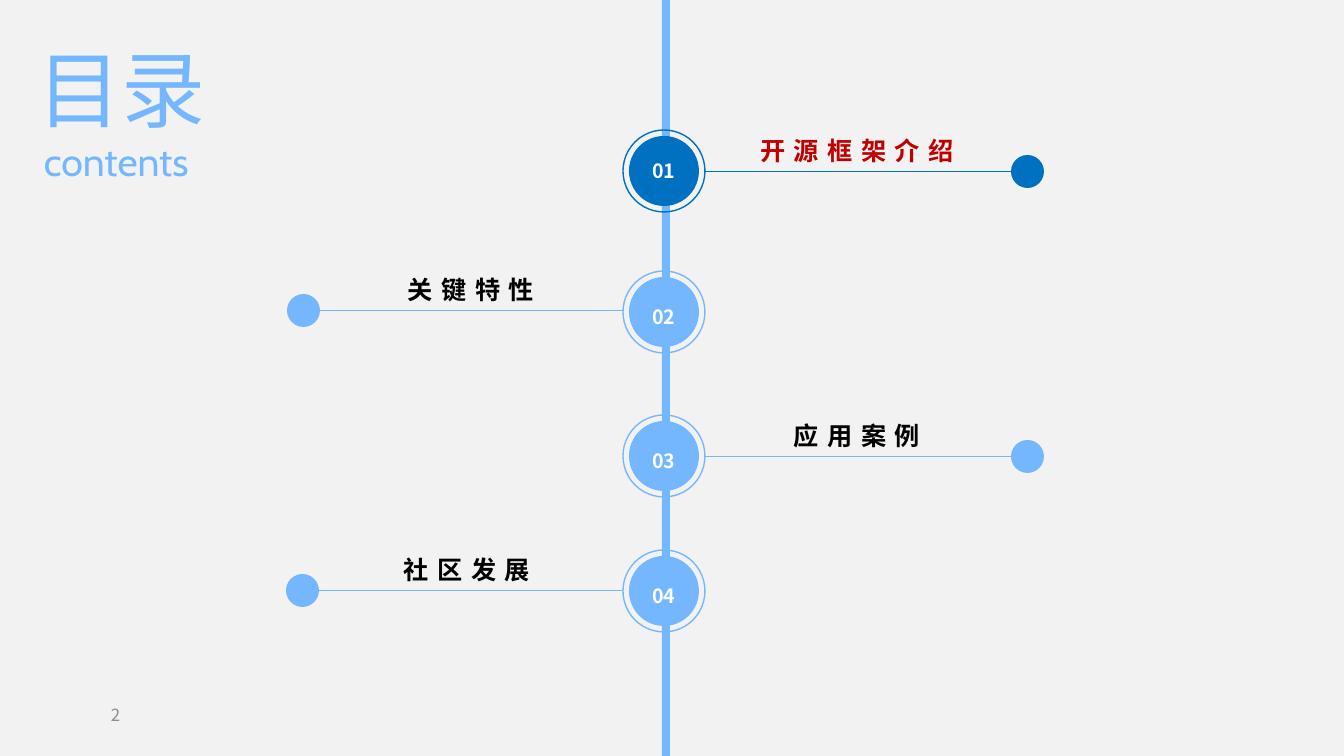
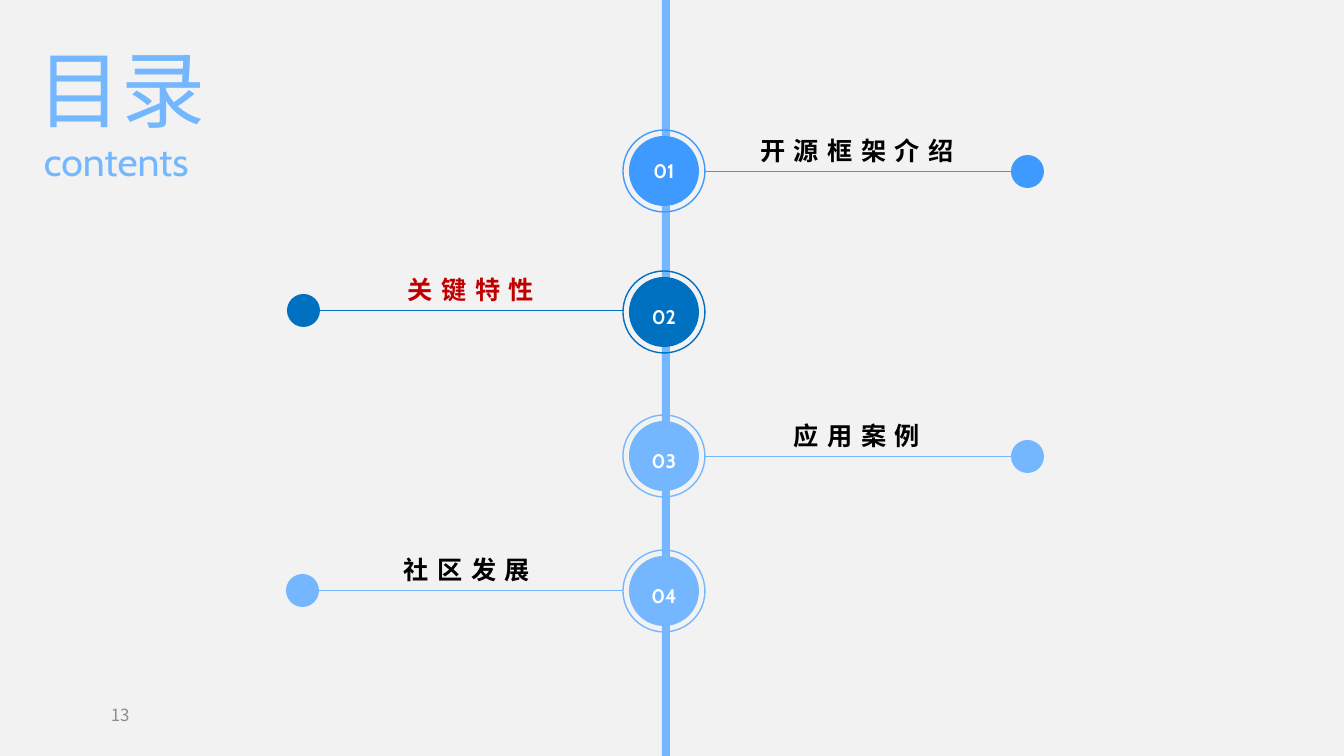
import dataclasses
import typing

import lxml.etree
import pptx
import pptx.dml.color
import pptx.enum.shapes
import pptx.enum.text
import pptx.oxml.ns
import pptx.util

SHAPES = pptx.enum.shapes.MSO_SHAPE
ALIGN = pptx.enum.text.PP_ALIGN
ANCHOR = pptx.enum.text.MSO_ANCHOR

EMU_PER_PX = 12192000 / 1344
PAGE_WIDTH, PAGE_HEIGHT = 1344, 756
SPINE_LEFT, SPINE_WIDTH = 662, 8
HUB_X = 664
DISC_SIZE, RING_SIZE, DOT_SIZE = 70, 82, 33
LABEL_WIDTH, LABEL_HEIGHT = 252, 41


@dataclasses.dataclass(frozen=True)
class Theme:
    background: str = "F2F2F2"
    main: str = "75B7FF"
    visited: str = "3F9AFF"
    current: str = "0070C0"
    label: str = "000000"
    current_label: str = "C00000"
    on_disc: str = "FFFFFF"
    page_number: str = "8C8C8C"
    title_size: int = 60
    subtitle_size: int = 28
    label_size: int = 18
    disc_size: int = 14
    page_number_size: int = 12
    label_tracking: int = 6
    ring_width: float = 1
    spoke_width: float = 0.5
    latin_font: str = "Cabin"
    chinese_font: str = "Noto Sans CJK SC"


THEME = Theme()


class Box(typing.NamedTuple):
    left: int
    top: int
    width: int
    height: int


@dataclasses.dataclass(frozen=True)
class Section:
    label: str
    hub_y: int
    spoke_y: int
    dot_x: int
    label_x: int
    line_spacing: float = 1.4


@dataclasses.dataclass(frozen=True)
class Agenda:
    current: int
    page_number: int
    font: str


SECTIONS = (
    Section("开源框架介绍", 171, 171, 1027, 857, line_spacing=1),
    Section("关键特性", 312, 310, 303, 471),
    Section("应用案例", 456, 456, 1027, 857),
    Section("社区发展", 591, 590, 302, 467),
)

AGENDAS = (
    Agenda(current=1, page_number=2, font=THEME.chinese_font),
    Agenda(current=2, page_number=13, font=THEME.latin_font),
)


def px(length: float) -> pptx.util.Emu:
    return pptx.util.Emu(round(length * EMU_PER_PX))


def rgb(color: str) -> pptx.dml.color.RGBColor:
    return pptx.dml.color.RGBColor.from_string(color)


def place(shape, box: Box) -> None:
    shape.left, shape.top, shape.width, shape.height = map(px, box)


def write(shape, text: str, font: str, size: int, color: str, *,
          bold: bool = False, align=ALIGN.LEFT, anchor=ANCHOR.TOP,
          spacing: float = 1, tracking: int = 0) -> None:
    """Put one formatted paragraph into a shape."""
    frame = shape.text_frame
    frame.text = text
    frame.word_wrap = True
    frame.auto_size = pptx.enum.text.MSO_AUTO_SIZE.NONE
    frame.vertical_anchor = anchor
    para = frame.paragraphs[0]
    para.alignment = align
    para.line_spacing = spacing
    span = para.runs[0]
    span.font.name = font
    span.font.size = pptx.util.Pt(size)
    span.font.bold = bold
    span.font.color.rgb = rgb(color)
    properties = span.font._element
    east_asian = lxml.etree.SubElement(properties, pptx.oxml.ns.qn("a:ea"))
    east_asian.set("typeface", THEME.chinese_font)
    if tracking:
        properties.set("spc", str(tracking * 100))


def add_text(page, box: Box, text: str, font: str, size: int, color: str,
             **options) -> None:
    shape = page.shapes.add_textbox(*map(px, box))
    write(shape, text, font, size, color, **options)


def add_filled(page, kind, box: Box, color: str):
    shape = page.shapes.add_shape(kind, *map(px, box))
    shape.shadow.inherit = False
    shape.fill.solid()
    shape.fill.fore_color.rgb = rgb(color)
    shape.line.fill.background()
    return shape


def circle_box(x: int, y: int, size: int) -> Box:
    return Box(x - size // 2, y - size // 2, size, size)


def add_ring(page, box: Box, color: str) -> None:
    ring = page.shapes.add_shape(SHAPES.OVAL, *map(px, box))
    ring.shadow.inherit = False
    ring.fill.background()
    ring.line.color.rgb = rgb(color)
    ring.line.width = pptx.util.Pt(THEME.ring_width)


def add_spoke(page, section: Section, color: str) -> None:
    """Join the hub's ring to the outer dot."""
    side = 1 if section.dot_x > HUB_X else -1
    start = HUB_X + side * RING_SIZE // 2
    end = section.dot_x - side * DOT_SIZE // 2
    spoke = page.shapes.add_connector(
        pptx.enum.shapes.MSO_CONNECTOR.STRAIGHT,
        px(start), px(section.spoke_y), px(end), px(section.spoke_y))
    spoke.line.color.rgb = rgb(color)
    spoke.line.width = pptx.util.Pt(THEME.spoke_width)
    lxml.etree.SubElement(spoke._element.spPr, pptx.oxml.ns.qn("a:effectLst"))


def add_section(page, number: int, section: Section, agenda: Agenda) -> None:
    is_current = number == agenda.current
    if is_current:
        color = THEME.current
    else:
        color = THEME.visited if number < agenda.current else THEME.main

    disc = add_filled(page, SHAPES.OVAL,
                      circle_box(HUB_X, section.hub_y, DISC_SIZE), color)
    write(disc, f"{number:02}", agenda.font, THEME.disc_size, THEME.on_disc,
          bold=True, align=ALIGN.CENTER, anchor=ANCHOR.MIDDLE,
          spacing=section.line_spacing)
    add_ring(page, circle_box(HUB_X, section.hub_y, RING_SIZE), color)
    add_spoke(page, section, color)
    add_filled(page, SHAPES.OVAL,
               circle_box(section.dot_x, section.spoke_y, DOT_SIZE), color)
    label_box = Box(section.label_x - LABEL_WIDTH // 2,
                    section.spoke_y - LABEL_HEIGHT, LABEL_WIDTH, LABEL_HEIGHT)
    add_text(page, label_box, section.label, agenda.font, THEME.label_size,
             THEME.current_label if is_current else THEME.label,
             bold=True, align=ALIGN.CENTER, tracking=THEME.label_tracking)


def add_agenda(deck, agenda: Agenda) -> None:
    page = deck.slides.add_slide(deck.slide_layouts.get_by_name("Title Only"))
    title = page.shapes.title
    place(title, Box(27, 32, 336, 112))
    write(title, "目录", agenda.font, THEME.title_size, THEME.main)
    add_text(page, Box(34, 132, 197, 57), "contents", THEME.latin_font,
             THEME.subtitle_size, THEME.main)
    add_filled(page, SHAPES.RECTANGLE,
               Box(SPINE_LEFT, 0, SPINE_WIDTH, PAGE_HEIGHT), THEME.main)
    for number, section in enumerate(SECTIONS, start=1):
        add_section(page, number, section, agenda)
    add_text(page, Box(101, 697, 297, 35), str(agenda.page_number),
             THEME.chinese_font, THEME.page_number_size, THEME.page_number,
             anchor=ANCHOR.MIDDLE)


def main() -> None:
    deck = pptx.Presentation()
    deck.slide_width, deck.slide_height = px(PAGE_WIDTH), px(PAGE_HEIGHT)
    backdrop = deck.slide_master.background.fill
    backdrop.solid()
    backdrop.fore_color.rgb = rgb(THEME.background)
    for agenda in AGENDAS:
        add_agenda(deck, agenda)
    deck.save("out.pptx")


if __name__ == "__main__":
    main()
